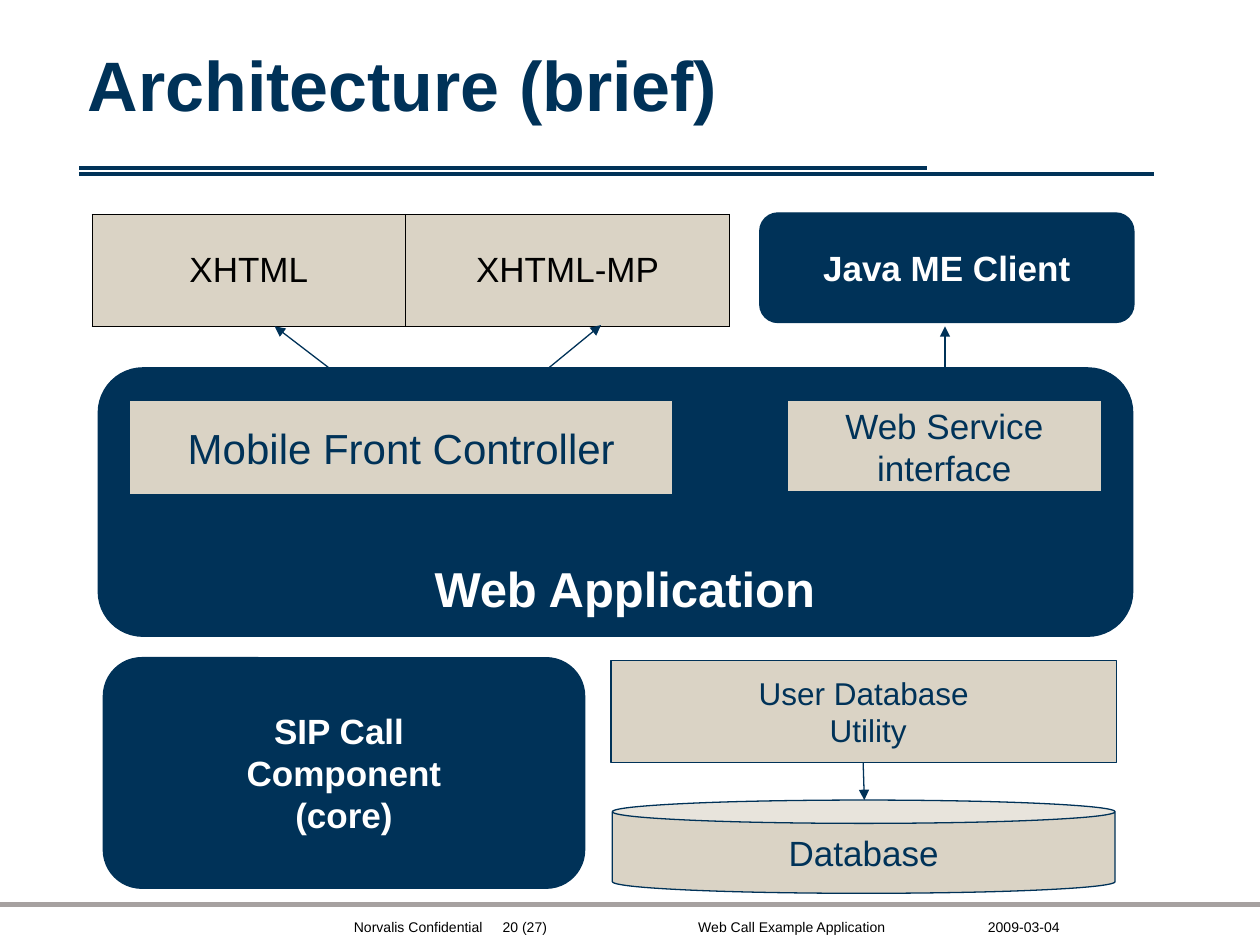
"""Build the brief architecture slide of the web call example application."""

from dataclasses import dataclass

from lxml import etree
from pptx import Presentation
from pptx.dml.color import RGBColor
from pptx.enum.shapes import MSO_CONNECTOR, MSO_SHAPE
from pptx.enum.text import MSO_ANCHOR, PP_ALIGN
from pptx.oxml.ns import qn
from pptx.util import Pt

EMU_PER_PX = 9144
BLANK_LAYOUT = 6
RECTANGLE = MSO_SHAPE.RECTANGLE
ROUNDED = MSO_SHAPE.ROUNDED_RECTANGLE
CAN = MSO_SHAPE.CAN
STRAIGHT = MSO_CONNECTOR.STRAIGHT
LEFT, CENTER, RIGHT = PP_ALIGN.LEFT, PP_ALIGN.CENTER, PP_ALIGN.RIGHT
TOP, MIDDLE, BOTTOM = MSO_ANCHOR.TOP, MSO_ANCHOR.MIDDLE, MSO_ANCHOR.BOTTOM


@dataclass(frozen=True)
class Theme:
    font: str = "Arial"
    navy: str = "003258"
    sand: str = "DAD3C5"
    gray: str = "A6A1A0"
    black: str = "000000"
    white: str = "FFFFFF"
    title: int = 40
    heading: int = 28
    large: int = 24
    body: int = 20
    small: int = 18
    footer: int = 8
    thin: float = 0.75
    rule: float = 2.25
    band: float = 3
    cell_border: float = 0.45


THEME = Theme()


@dataclass(frozen=True)
class Box:
    left: int
    top: int
    width: int
    height: int


@dataclass(frozen=True)
class Style:
    size: int
    color: str
    bold: bool = False
    align: PP_ALIGN = CENTER
    anchor: MSO_ANCHOR = MIDDLE


@dataclass(frozen=True)
class Block:
    box: Box
    kind: MSO_SHAPE
    fill: str
    style: Style
    lines: tuple[str, ...] = ()


@dataclass(frozen=True)
class Label:
    box: Box
    text: str
    style: Style
    wrap: bool = False
    inset: int = 5


@dataclass(frozen=True)
class Line:
    start: tuple[int, int]
    end: tuple[int, int]
    color: str = THEME.navy
    width: float = THEME.thin
    arrow: bool = False


WHITE_BOLD = Style(THEME.body, THEME.white, True)
NAVY_BODY = Style(THEME.body, THEME.navy)
NAVY_LARGE = Style(THEME.large, THEME.navy)
NAVY_SMALL = Style(THEME.small, THEME.navy)
CELL = Style(THEME.body, THEME.black)
TITLE = Style(THEME.title, THEME.navy, True, LEFT, BOTTOM)
HEADING = Style(THEME.heading, THEME.white, True, LEFT, TOP)
FOOTER_LEFT = Style(THEME.footer, THEME.black, False, LEFT, TOP)
FOOTER_CENTER = Style(THEME.footer, THEME.black, False, CENTER, TOP)
FOOTER_RIGHT = Style(THEME.footer, THEME.black, False, RIGHT, TOP)

RULES = (
    Line((0, 718), (1000, 718), THEME.gray, THEME.band),
    Line((63, 133), (736, 133), width=THEME.rule),
    Line((63, 138), (916, 138), width=THEME.rule),
)
WEB_APPLICATION = Block(Box(78, 292, 821, 213), ROUNDED, THEME.navy, WHITE_BOLD)
ARROWS = (
    Line((299, 321), (218, 259), arrow=True),
    Line((750, 321), (750, 259), arrow=True),
    Line((399, 322), (477, 258), arrow=True),
    Line((685, 604), (686, 635), arrow=True),
)
BLOCKS = (
    Block(Box(486, 635, 399, 74), CAN, THEME.sand, NAVY_BODY, ("Database",)),
    Block(Box(103, 318, 431, 75), RECTANGLE, THEME.sand, NAVY_LARGE, ("Mobile Front Controller",)),
    Block(Box(625, 318, 249, 72), RECTANGLE, THEME.sand, NAVY_BODY, ("Web Service", "interface")),
    Block(Box(485, 524, 401, 81), RECTANGLE, THEME.sand, NAVY_SMALL, ("User Database", " Utility")),
    Block(Box(82, 522, 382, 183), ROUNDED, THEME.navy, WHITE_BOLD, ("SIP Call ", "Component", "(core)")),
    Block(Box(603, 169, 297, 87), ROUNDED, THEME.navy, WHITE_BOLD, ("Java ME Client",)),
)
LABELS = (
    Label(Box(60, 33, 856, 67), "Architecture (brief)", TITLE, True, 0),
    Label(Box(335, 438, 329, 57), "Web Application", HEADING, True),
    Label(Box(271, 724, 125, 24), "Norvalis Confidential", FOOTER_LEFT),
    Label(Box(389, 724, 69, 20), "20 (27)", FOOTER_LEFT),
    Label(Box(544, 724, 169, 24), "Web Call Example Application", FOOTER_CENTER),
    Label(Box(774, 724, 77, 24), "2009-03-04", FOOTER_RIGHT),
)
CLIENT_TABLE = Box(73, 170, 506, 89)
CLIENT_COLUMNS = (("XHTML", 249), ("XHTML-MP", 257))


def px(value: int) -> int:
    return value * EMU_PER_PX


def place(box: Box) -> tuple[int, ...]:
    return tuple(px(value) for value in (box.left, box.top, box.width, box.height))


def rgb(color: str) -> RGBColor:
    return RGBColor.from_string(color)


def write(frame, lines: tuple[str, ...], style: Style) -> None:
    for index, line in enumerate(lines):
        paragraph = frame.paragraphs[0] if index == 0 else frame.add_paragraph()
        paragraph.alignment = style.align
        run = paragraph.add_run()
        run.text = line
        run.font.name = THEME.font
        run.font.size = Pt(style.size)
        run.font.bold = style.bold
        run.font.color.rgb = rgb(style.color)


def draw_block(slide, block: Block) -> None:
    shape = slide.shapes.add_shape(block.kind, *place(block.box))
    shape.shadow.inherit = False
    shape.fill.solid()
    shape.fill.fore_color.rgb = rgb(block.fill)
    shape.line.color.rgb = rgb(THEME.navy)
    shape.line.width = Pt(THEME.thin)
    shape.text_frame.word_wrap = False
    shape.text_frame.vertical_anchor = block.style.anchor
    write(shape.text_frame, block.lines, block.style)


def draw_label(slide, label: Label) -> None:
    frame = slide.shapes.add_textbox(*place(label.box)).text_frame
    frame.word_wrap = label.wrap
    frame.vertical_anchor = label.style.anchor
    frame.margin_top = frame.margin_bottom = px(label.inset)
    write(frame, (label.text,), label.style)


def draw_line(slide, line: Line) -> None:
    points = (px(value) for value in line.start + line.end)
    connector = slide.shapes.add_connector(STRAIGHT, *points)
    connector.line.color.rgb = rgb(line.color)
    connector.line.width = Pt(line.width)
    if line.arrow:
        etree.SubElement(connector.line._get_or_add_ln(), qn("a:tailEnd"), type="triangle")
    etree.SubElement(connector._element.spPr, qn("a:effectLst"))


def border_cell(cell) -> None:
    properties = cell._tc.get_or_add_tcPr()
    for index, side in enumerate(("a:lnL", "a:lnR", "a:lnT", "a:lnB")):
        border = etree.Element(qn(side), w=str(int(Pt(THEME.cell_border))))
        fill = etree.SubElement(border, qn("a:solidFill"))
        etree.SubElement(fill, qn("a:srgbClr"), val=THEME.black)
        properties.insert(index, border)


def draw_client_table(slide) -> None:
    table = slide.shapes.add_table(1, len(CLIENT_COLUMNS), *place(CLIENT_TABLE)).table
    table.first_row = table.horz_banding = False
    for index, (text, width) in enumerate(CLIENT_COLUMNS):
        table.columns[index].width = px(width)
        cell = table.cell(0, index)
        cell.fill.solid()
        cell.fill.fore_color.rgb = rgb(THEME.sand)
        cell.vertical_anchor = MIDDLE
        write(cell.text_frame, (text,), CELL)
        border_cell(cell)


def main() -> None:
    presentation = Presentation()
    presentation.slide_width, presentation.slide_height = px(1000), px(750)
    slide = presentation.slides.add_slide(presentation.slide_layouts[BLANK_LAYOUT])
    for rule in RULES:
        draw_line(slide, rule)
    draw_block(slide, WEB_APPLICATION)
    draw_client_table(slide)
    for arrow in ARROWS:
        draw_line(slide, arrow)
    for block in BLOCKS:
        draw_block(slide, block)
    for label in LABELS:
        draw_label(slide, label)
    presentation.save("out.pptx")


if __name__ == "__main__":
    main()
